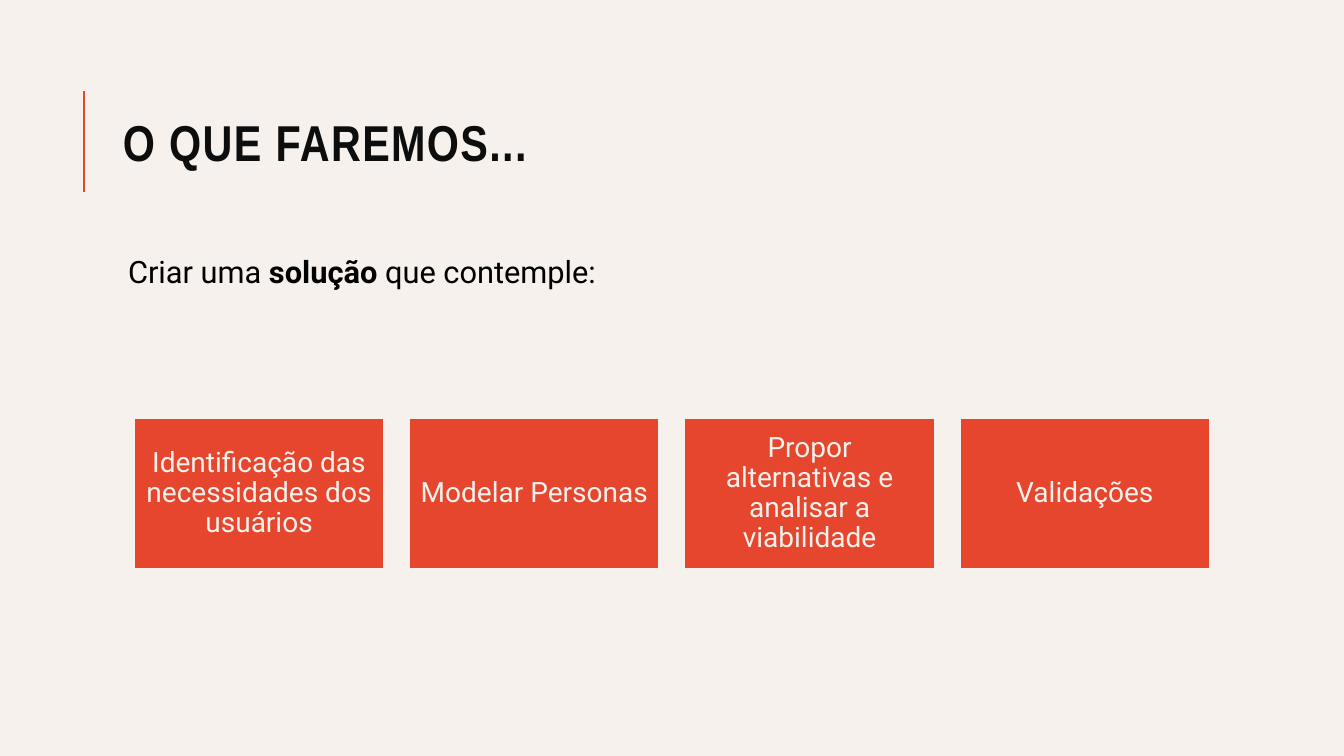
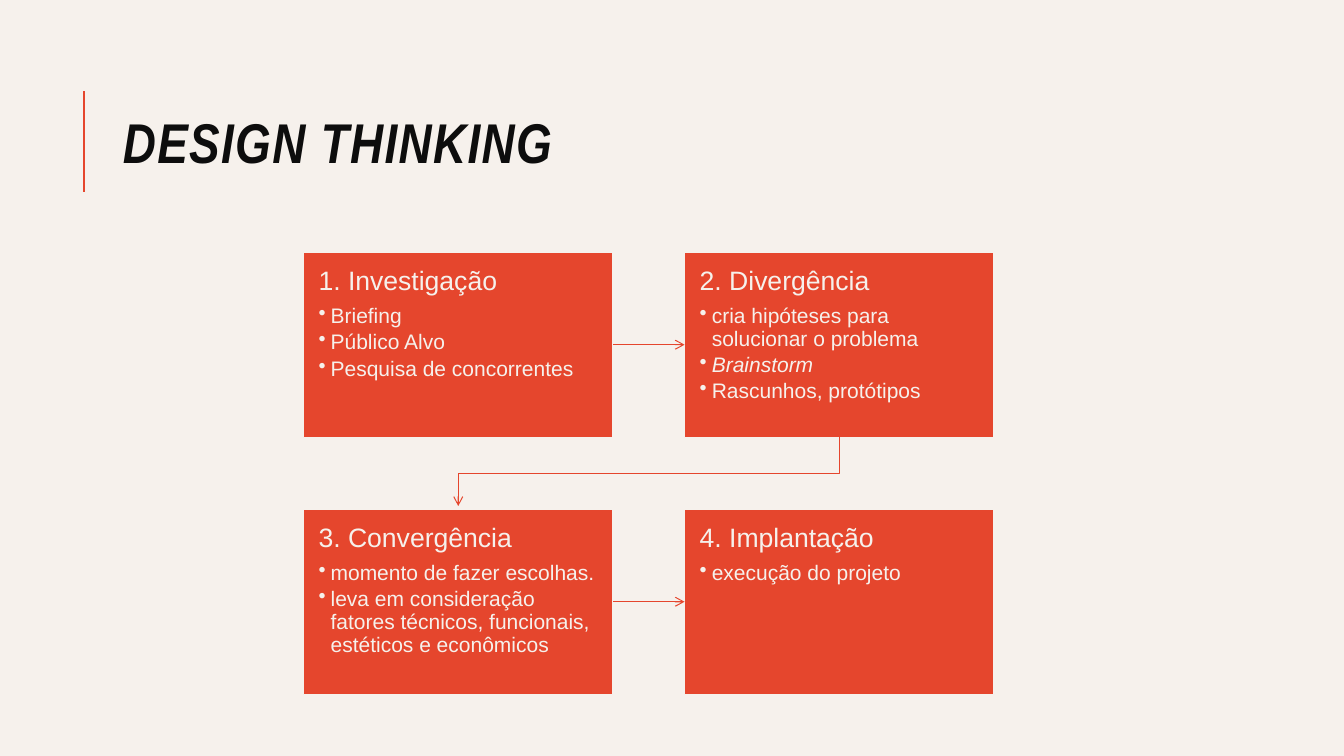
from lxml.etree import SubElement
from pptx import Presentation
from pptx.dml.color import RGBColor
from pptx.enum.shapes import MSO_CONNECTOR as Connector, MSO_SHAPE as Shape
from pptx.enum.text import MSO_ANCHOR as Anchor, PP_ALIGN as Align
from pptx.oxml.ns import qn
from pptx.util import Inches, Pt

CREAM, RED, INK, BLACK = "F6F1EC", "E5462D", "0D0D0D", "000000"
TITLE_FONT, BODY_FONT, STEP_FONT = "Arial Narrow", "Roboto", "Arial"
TOP, LEFT, BOTTOM, RIGHT = range(4)

TASKS = [
    "Identificação das necessidades dos usuários",
    "Modelar Personas",
    "Propor alternativas e analisar a viabilidade",
    "Validações",
]
STEPS = [
    ("1. Investigação", ["Briefing", "Público Alvo", "Pesquisa de concorrentes"]),
    ("2. Divergência", ["cria hipóteses para solucionar o problema", "Brainstorm",
                        "Rascunhos, protótipos"]),
    ("3. Convergência", ["momento de fazer escolhas.",
                         "leva em consideração fatores técnicos, funcionais, "
                         "estéticos e econômicos"]),
    ("4. Implantação", ["execução do projeto"]),
]
ITALIC_ITEMS = {"Brainstorm"}


def color(value):
    return RGBColor.from_string(value)


def set_frame(frame, inset, anchor=Anchor.TOP):
    """Make the text wrap, with (horizontal, vertical) insets."""
    frame.word_wrap = True
    frame.vertical_anchor = anchor
    frame.margin_left = frame.margin_right = Inches(inset[0])
    frame.margin_top = frame.margin_bottom = Inches(inset[1])


def write(para, text, size, font, ink, bold=False, italic=False, tracking=0):
    """Add one formatted run; tracking is in points."""
    span = para.add_run()
    span.text = text
    span.font.size = Pt(size)
    span.font.name = font
    span.font.color.rgb = color(ink)
    span.font.bold = bold
    span.font.italic = italic
    if tracking:
        span.font._element.set("spc", str(tracking * 100))


def set_para(para, align=Align.LEFT, line=0.9, after=0, bullet=False):
    para.alignment = align
    para.line_spacing = line
    para.space_after = Pt(after)
    if bullet:
        props = para._p.get_or_add_pPr()
        props.set("marL", str(Inches(0.12)))
        props.set("indent", str(-Inches(0.12)))
        SubElement(props, qn("a:buChar")).set("char", "•")


def add_text_box(page, left, top, width, height, inset, anchor=Anchor.TOP):
    box = page.shapes.add_textbox(*map(Inches, (left, top, width, height)))
    set_frame(box.text_frame, inset, anchor)
    return box.text_frame


def add_red_box(page, left, top, width, height, inset, anchor=Anchor.TOP):
    box = page.shapes.add_shape(
        Shape.RECTANGLE, *map(Inches, (left, top, width, height)))
    box.shadow.inherit = False
    box.fill.solid()
    box.fill.fore_color.rgb = color(RED)
    box.line.color.rgb = color(CREAM)
    box.line.width = Pt(1.25)
    set_frame(box.text_frame, (inset, inset), anchor)
    return box


def style_line(shape, width, arrow=False):
    shape.line.color.rgb = color(RED)
    shape.line.width = Pt(width)
    if arrow:
        SubElement(shape.line._get_or_add_ln(), qn("a:tailEnd")).set("type", "arrow")


def add_line(page, start, end, width, arrow=False):
    line = page.shapes.add_connector(Connector.STRAIGHT, *start, *end)
    style_line(line, width, arrow)
    SubElement(line._element.spPr, qn("a:effectLst"))
    return line


def join_across(page, source, target):
    """Draw an arrow from the right side of one box to the left of the next."""
    middle = source.top + source.height // 2
    arrow = add_line(page, (source.left + source.width, middle),
                     (target.left, middle), 0.75, arrow=True)
    arrow.begin_connect(source, RIGHT)
    arrow.end_connect(target, LEFT)


def join_down(page, source, target):
    """Draw a stepped arrow from under one box to the top of a lower one."""
    start_x = source.left + source.width // 2
    end_x = target.left + target.width // 2
    start_y, end_y = source.top + source.height, target.top - Inches(0.03)
    middle = (source.top + source.height + target.top) // 2
    builder = page.shapes.build_freeform(start_x, start_y)
    builder.add_line_segments(
        [(start_x, middle), (end_x, middle), (end_x, end_y)], close=False)
    arrow = builder.convert_to_shape()
    arrow.shadow.inherit = False
    arrow.fill.background()
    style_line(arrow, 0.75, arrow=True)


def add_page(deck, title, size, italic=False):
    """Add a page with the title and the red rule beside it."""
    page = deck.slides.add_slide(deck.slide_layouts[6])
    rule_x = Inches(0.83)
    add_line(page, (rule_x, Inches(1.9)), (rule_x, Inches(0.9)), 1.5)
    frame = add_text_box(page, 1.12, 0.64, 10.63, 1.64, (0.1, 0.05), Anchor.MIDDLE)
    para = frame.paragraphs[0]
    set_para(para, line=0.8)
    write(para, title, size, TITLE_FONT, INK, bold=True, italic=italic, tracking=1)
    return page


def add_intro(page, left, top, width, height):
    para = add_text_box(page, left, top, width, height, (0.15, 0.05)).paragraphs[0]
    set_para(para)
    for text, bold in [("Criar uma ", False), ("solução", True),
                       (" que contemple:", False)]:
        write(para, text, 22, BODY_FONT, BLACK, bold=bold)


def add_task_row(page, left, top, width=2.48, height=1.49, gap=0.25):
    for column, task in enumerate(TASKS):
        box = add_red_box(page, left + column * (width + gap), top, width, height,
                          0.08, Anchor.MIDDLE)
        para = box.text_frame.paragraphs[0]
        set_para(para, align=Align.CENTER)
        write(para, task, 20, BODY_FONT, CREAM)


def add_step(page, left, top, width, height, heading, items):
    box = add_red_box(page, left, top, width, height, 0.15)
    para = box.text_frame.paragraphs[0]
    set_para(para, after=7)
    write(para, heading, 19, STEP_FONT, CREAM)
    for item in items:
        para = box.text_frame.add_paragraph()
        set_para(para, after=2.5, bullet=True)
        write(para, item, 15, STEP_FONT, CREAM, italic=item in ITALIC_ITEMS)
    return box


def add_step_grid(page, left, top, width=3.07, height=1.84, gap=0.71):
    """Place the steps two to a row and join them in order."""
    boxes = []
    for index, (heading, items) in enumerate(STEPS):
        row, column = divmod(index, 2)
        boxes.append(add_step(page, left + column * (width + gap),
                              top + row * (height + gap), width, height,
                              heading, items))
    for source, target in zip(boxes, boxes[1:]):
        join = join_across if source.top == target.top else join_down
        join(page, source, target)


def main():
    deck = Presentation()
    deck.slide_width, deck.slide_height = Inches(13.33), Inches(7.5)
    backdrop = deck.slide_master.background.fill
    backdrop.solid()
    backdrop.fore_color.rgb = color(CREAM)

    page = add_page(deck, "O QUE FAREMOS...", 36)
    add_intro(page, 1.12, 2.5, 10.63, 0.5)
    add_task_row(page, 1.33, 4.15)

    page = add_page(deck, "DESIGN THINKING", 40, italic=True)
    add_step_grid(page, 3.01, 2.5)

    deck.save("out.pptx")


if __name__ == "__main__":
    main()
